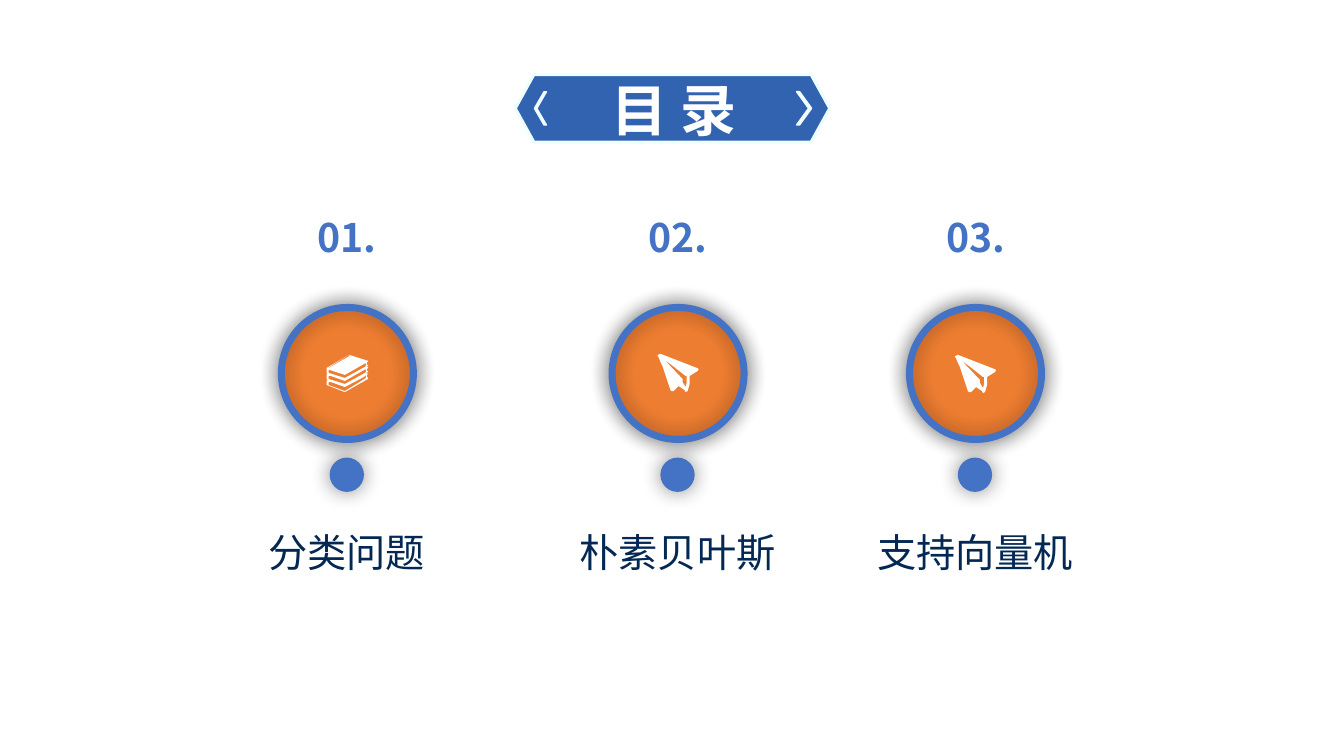
from lxml.etree import SubElement
from pptx import Presentation
from pptx.dml.color import RGBColor
from pptx.enum.shapes import MSO_SHAPE as SHAPE
from pptx.enum.text import MSO_ANCHOR as ANCHOR, PP_ALIGN as ALIGN
from pptx.oxml.ns import qn
from pptx.util import Inches, Pt

FONT = "Noto Sans CJK SC"
BLUE, ORANGE, NAVY, WHITE = "4472C4", "ED7D31", "032854", "FFFFFF"
BANNER, MINT = "3263B1", "EDFFFD"

BOOKS = [
    [(41, 7), (41, 6), (22, 0), (0, 13), (0, 18), (1, 18), (0, 19), (0, 24),
     (1, 25), (0, 26), (0, 30), (18, 37), (41, 24), (41, 23), (40, 22),
     (40, 20), (41, 19), (39, 18), (41, 17), (41, 16), (40, 16), (40, 14),
     (41, 13), (41, 12), (39, 12), (41, 11), (41, 10), (40, 10), (40, 7)],
    [(23, 1), (2, 13), (1, 13), (22, 0)],
    [(2, 30), (2, 27), (4, 27), (18, 32), (37, 22), (39, 20), (39, 23), (18, 36)],
    [(38, 18), (18, 29), (2, 24), (2, 21), (4, 21), (18, 26), (39, 14), (39, 17)],
    [(38, 12), (18, 23), (2, 18), (2, 15), (3, 15), (18, 20), (39, 8), (39, 11)],
]
PLANE = [
    [(39, 15), (21, 8), (3, 1), (1, 2), (0, 3), (1, 4), (3, 9), (5, 13), (13, 37),
     (14, 38), (16, 38), (21, 33), (27, 37), (28, 39), (30, 38), (32, 31),
     (32, 23), (40, 18), (41, 16)],
    [(29, 30), (28, 34), (25, 29), (25, 26), (7, 7), (14, 12), (28, 23), (29, 23)],
]

prs = Presentation()
prs.slide_width, prs.slide_height = Inches(13.33), Inches(7.5)
slide = prs.slides.add_slide(prs.slide_layouts[6])


def add_shape(kind, x, y, w, h, fill=None, line=None, line_pt=1, glow=False):
    s = slide.shapes.add_shape(kind, Inches(x), Inches(y), Inches(w), Inches(h))
    s.shadow.inherit = False
    if fill:
        s.fill.solid()
        s.fill.fore_color.rgb = RGBColor.from_string(fill)
    else:
        s.fill.background()
    if line:
        s.line.color.rgb = RGBColor.from_string(line)
        s.line.width = Pt(line_pt)
    else:
        s.line.fill.background()
    if glow:
        effects = s._element.spPr.find(qn("a:effectLst"))
        shadow = SubElement(effects, qn("a:outerShdw"), blurRad=str(Pt(15)),
                            dist="0", algn="ctr", rotWithShape="0")
        color = SubElement(shadow, qn("a:srgbClr"), val="000000")
        SubElement(color, qn("a:alpha"), val="45000")
    return s


def add_text(text, x, y, w, h, size, color, bold=False, wrap=True, anchor=ANCHOR.MIDDLE):
    tf = slide.shapes.add_textbox(Inches(x), Inches(y), Inches(w), Inches(h)).text_frame
    tf.word_wrap = wrap
    tf.vertical_anchor = anchor
    if not wrap:
        tf.margin_left = tf.margin_right = tf.margin_top = tf.margin_bottom = 0
    p = tf.paragraphs[0]
    p.alignment = ALIGN.CENTER
    r = p.add_run()
    r.text = text
    r.font.name, r.font.size, r.font.bold = FONT, Pt(size), bold
    r.font.color.rgb = RGBColor.from_string(color)
    SubElement(r._r.get_or_add_rPr(), qn("a:ea"), typeface=FONT)


banner = add_shape(SHAPE.HEXAGON, 5.11, 0.74, 3.12, 0.67, BANNER, MINT, 2.25)
banner.adjustments[0] = 0.276
for x, w, turn in [(5.3, 0.12, 180), (7.9, 0.15, 0)]:
    arrow = add_shape(SHAPE.CHEVRON, x, 0.91, w, 0.33, WHITE, MINT)
    arrow.adjustments[0] = 0.794
    arrow.rotation = turn
add_text("目 录", 5.64, 0.7, 2.09, 0.77, 40, WHITE, bold=True)

topics = [
    (3.44, "01.", "分类问题", 1.57, BOOKS, 3.52),
    (6.72, "02.", "朴素贝叶斯", 1.96, PLANE, 3.5),
    (9.67, "03.", "支持向量机", 1.96, PLANE, 3.51),
]
for cx, number, label, label_w, icon, icon_y in topics:
    add_shape(SHAPE.OVAL, cx - 0.67, 3.03, 1.35, 1.35, ORANGE, glow=True)
    add_shape(SHAPE.OVAL, cx - 0.17, 4.54, 0.34, 0.34, BLUE, glow=True)
    add_shape(SHAPE.OVAL, cx - 0.65, 3.05, 1.31, 1.31, None, BLUE, 5, glow=True)

    fb = slide.shapes.build_freeform(*icon[0][0], scale=Inches(0.01))
    fb.add_line_segments(icon[0][1:])
    for hole in icon[1:]:
        fb.move_to(*hole[0])
        fb.add_line_segments(hole[1:])
    s = fb.convert_to_shape(Inches(cx - 0.2), Inches(icon_y))
    s.shadow.inherit = False
    s.fill.solid()
    s.fill.fore_color.rgb = RGBColor.from_string(WHITE)
    s.line.fill.background()

    add_text(number, cx - 0.58, 2.07, 1.17, 0.57, 28, BLUE, bold=True, anchor=ANCHOR.TOP)
    add_text(label, cx - label_w / 2, 5.24, label_w, 0.47, 28, NAVY, wrap=False)

prs.save("out.pptx")
